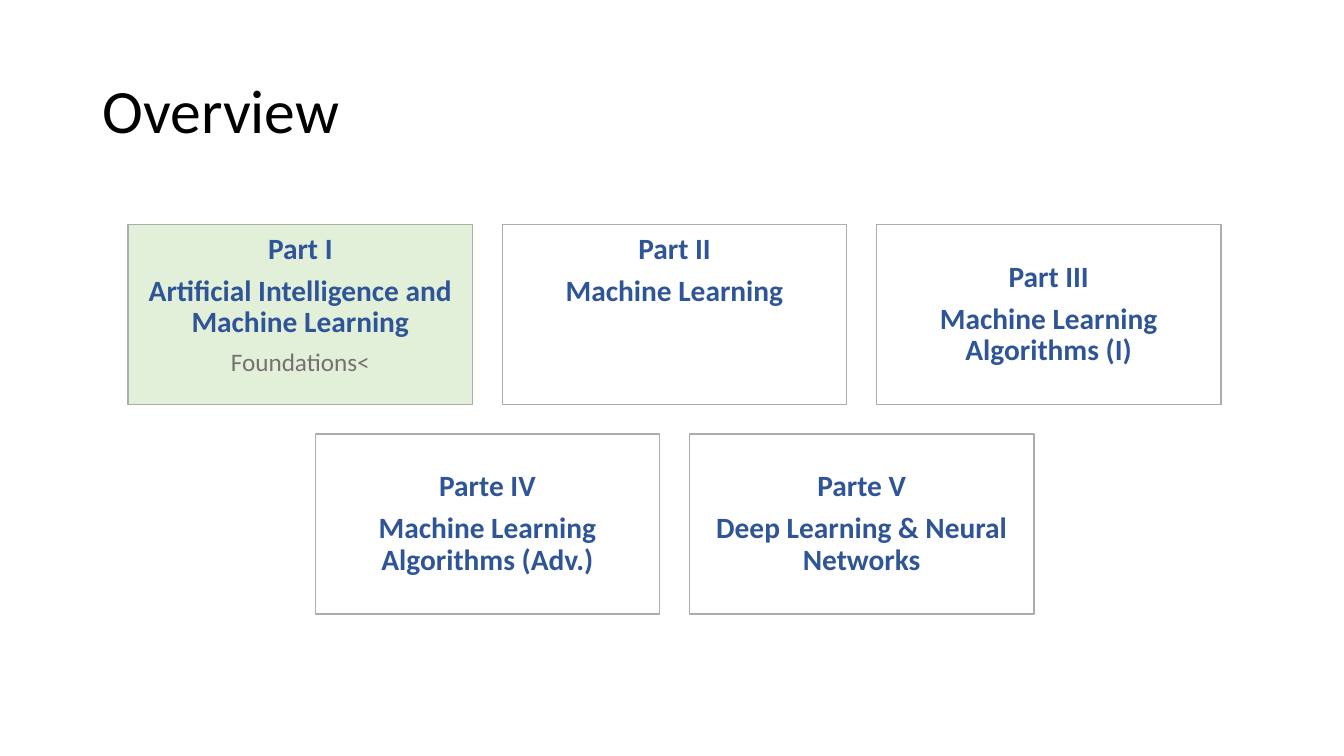
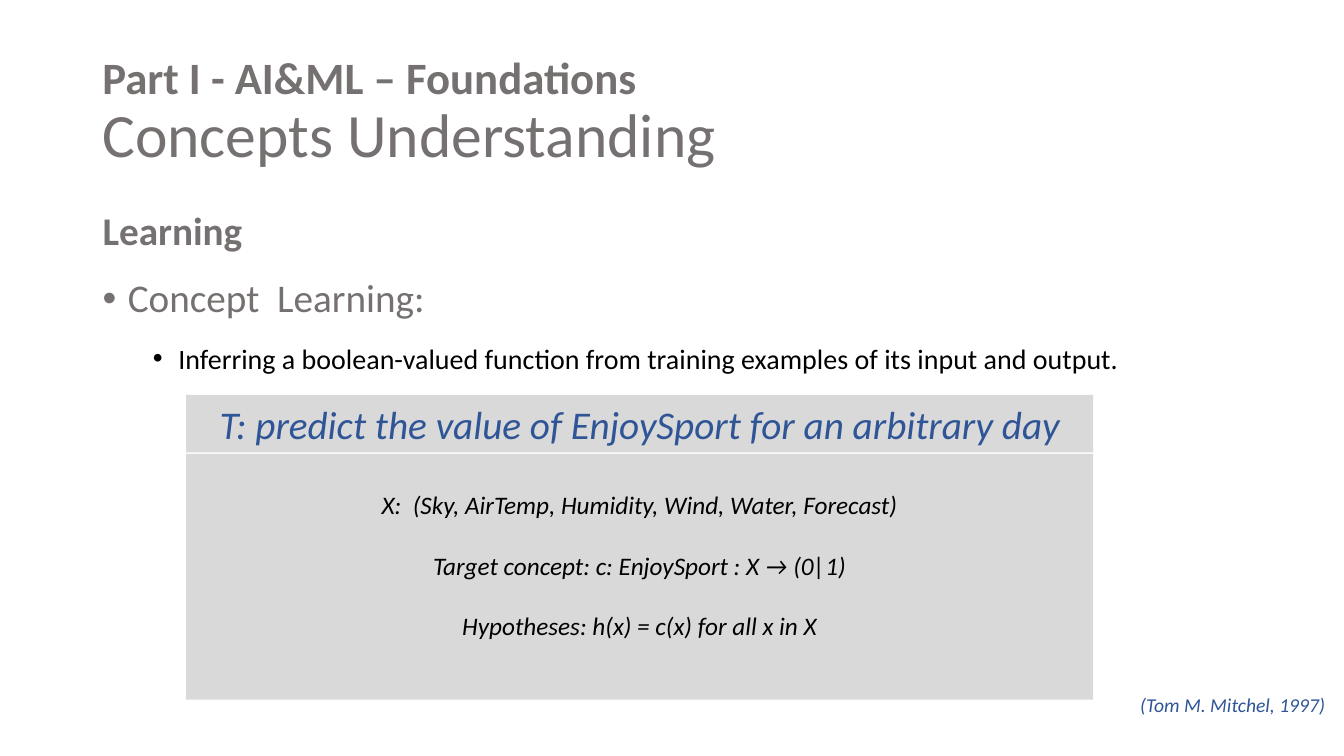
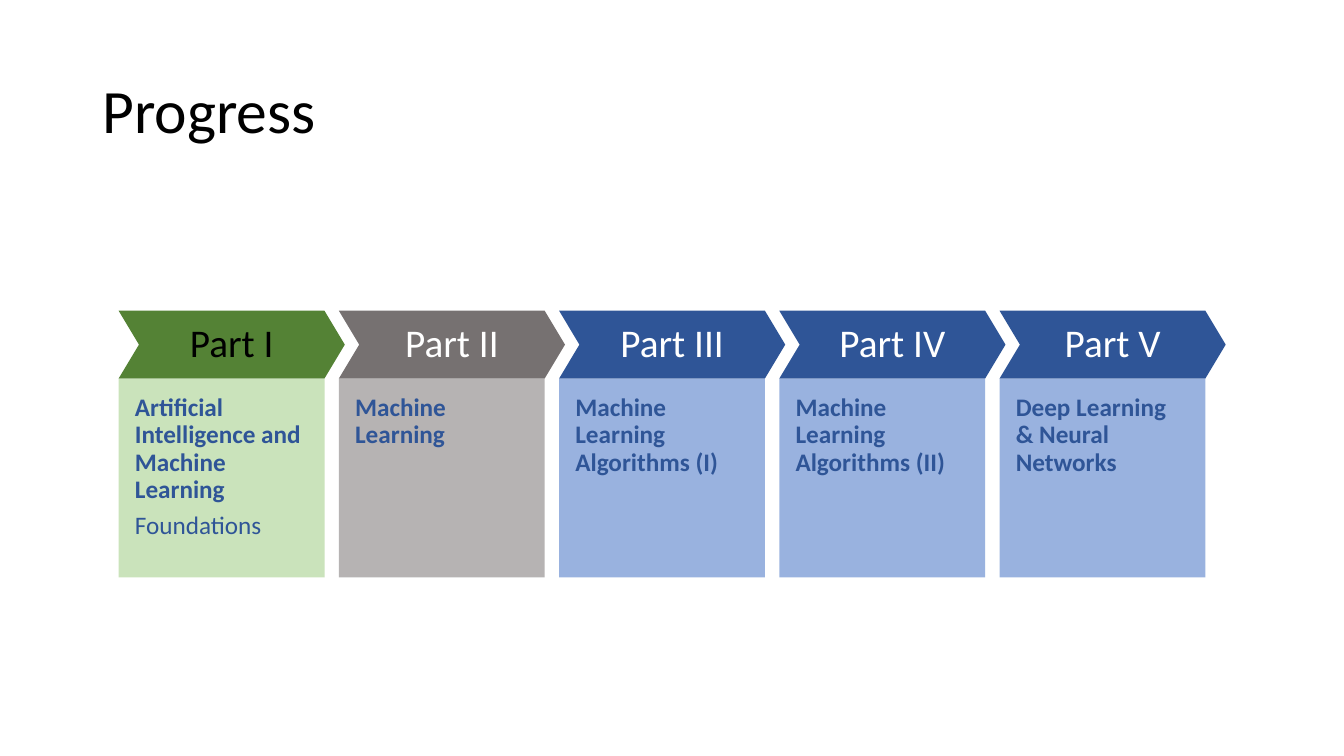
from dataclasses import dataclass
from typing import NamedTuple

from lxml import etree
from pptx import Presentation
from pptx.dml.color import RGBColor
from pptx.enum.shapes import MSO_SHAPE
from pptx.enum.text import MSO_ANCHOR, MSO_AUTO_SIZE, PP_ALIGN
from pptx.oxml.ns import qn
from pptx.shapes.autoshape import Shape
from pptx.slide import Slide
from pptx.text.text import TextFrame, _Paragraph
from pptx.util import Cm, Pt

RECT, CHEVRON = MSO_SHAPE.RECTANGLE, MSO_SHAPE.CHEVRON
TOP, MIDDLE = MSO_ANCHOR.TOP, MSO_ANCHOR.MIDDLE
LEFT, CENTER, RIGHT = PP_ALIGN.LEFT, PP_ALIGN.CENTER, PP_ALIGN.RIGHT
FIXED_SIZE = MSO_AUTO_SIZE.NONE
TITLE_ONLY, TITLE_AND_BODY = 5, 1


@dataclass(frozen=True)
class Theme:
    font: str = "Calibri"
    black: str = "000000"
    white: str = "FFFFFF"
    blue: str = "2F5597"
    light_blue: str = "8FAADC"
    green: str = "548235"
    light_green: str = "C5E0B4"
    pale_green: str = "E2F0D9"
    grey: str = "767171"
    mid_grey: str = "AFABAB"
    light_grey: str = "D9D9D9"
    title: float = 44
    subtitle: float = 32
    heading: float = 28
    card: float = 21
    point: float = 20
    text: float = 18
    citation: float = 14


THEME = Theme()


class Box(NamedTuple):
    """Left, top, width and height in centimetres."""
    left: float
    top: float
    width: float
    height: float


class Line(NamedTuple):
    text: str
    size: float
    color: str = THEME.blue
    bold: bool = False
    italic: bool = False


@dataclass(frozen=True)
class TextStyle:
    align: PP_ALIGN = CENTER
    anchor: MSO_ANCHOR = TOP
    spacing: float = 0.9
    after: float = 0.35  # share of the type size
    insets: tuple[float, float, float, float] = (0.25, 0.13, 0.25, 0.13)


class Card(NamedTuple):
    label: str
    topic: str
    anchor: MSO_ANCHOR = MIDDLE
    fill: str = THEME.white
    note: str = ""


class Stage(NamedTuple):
    label: str
    topic: str
    head_fill: str = THEME.blue
    body_fill: str = THEME.light_blue
    head_color: str = THEME.white
    note: str = ""


class Point(NamedTuple):
    line: Line
    before: float
    spacing: float
    level: int = 0
    indent: float = 0
    bullet: str = ""


TITLE_BOX = Box(2.33, 1.01, 29.21, 3.68)
BODY_BOX = Box(2.33, 5.08, 29.21, 12.09)
CARD_INSETS = (0.2, 0.23, 0.2, 0.23)
TITLE_STYLE = TextStyle(LEFT, MIDDLE, after=0)
HEAD_STYLE = TextStyle(anchor=MIDDLE, insets=(0.2, 0.2, 0.2, 0.2))
STAGE_STYLE = TextStyle(LEFT, insets=(0.41, 0.41, 0.41, 0.81))
TASK_STYLE = TextStyle(spacing=1, after=0)
DETAIL_STYLE = TextStyle(spacing=2, after=0)
CITATION_STYLE = TextStyle(RIGHT, spacing=1, after=0)

CARD_ROWS = [
    [Card("Part I", "Artificial Intelligence and Machine Learning", TOP,
          THEME.pale_green, "Foundations<"),
     Card("Part II", "Machine Learning", TOP),
     Card("Part III", "Machine Learning Algorithms (I)")],
    [Card("Parte IV", "Machine Learning Algorithms (Adv.)"),
     Card("Parte V", "Deep Learning & Neural Networks")],
]
STAGES = [
    Stage("Part I", "Artificial Intelligence and Machine Learning", THEME.green,
          THEME.light_green, THEME.black, "Foundations"),
    Stage("Part II", "Machine Learning", THEME.grey, THEME.mid_grey),
    Stage("Part III", "Machine Learning Algorithms (I)"),
    Stage("Part IV", "Machine Learning Algorithms (II)"),
    Stage("Part V", "Deep Learning & Neural Networks"),
]
POINTS = [
    Point(Line("Learning", THEME.heading, THEME.grey, bold=True), 18, 1),
    Point(Line("Concept  Learning:", THEME.heading, THEME.grey), 18, 0.9,
          indent=0.64, bullet="•"),
    Point(Line("Inferring a boolean-valued function from training examples of "
               "its input and output.", THEME.point, THEME.black), 12, 1.1,
          level=1, indent=1.91, bullet="•"),
]
HYPOTHESIS_SPACE = [
    "X:  (Sky, AirTemp, Humidity, Wind, Water, Forecast)",
    "Target concept: c: EnjoySport : X → (0|1)",
    "Hypotheses: h(x) = c(x) for all x in X",
]


def place(shape: Shape, box: Box) -> None:
    shape.left, shape.top, shape.width, shape.height = map(Cm, box)


def set_line(paragraph: _Paragraph, line: Line) -> None:
    paragraph.text = line.text
    font = paragraph.font
    font.name, font.size = THEME.font, Pt(line.size)
    font.bold, font.italic = line.bold, line.italic
    font.color.rgb = RGBColor.from_string(line.color)


def next_paragraph(frame: TextFrame, index: int) -> _Paragraph:
    return frame.add_paragraph() if index else frame.paragraphs[0]


def write(frame: TextFrame, lines: list[Line], style: TextStyle) -> None:
    frame.word_wrap = True
    frame.vertical_anchor = style.anchor
    (frame.margin_left, frame.margin_top,
     frame.margin_right, frame.margin_bottom) = map(Cm, style.insets)
    for index, line in enumerate(lines):
        paragraph = next_paragraph(frame, index)
        set_line(paragraph, line)
        paragraph.alignment = style.align
        paragraph.line_spacing = style.spacing
        paragraph.space_after = Pt(round(line.size * style.after, 2))


def add_panel(slide: Slide, box: Box, fill: str, lines: list[Line], style: TextStyle,
              kind: MSO_SHAPE = RECT, border: str = "") -> Shape:
    panel = slide.shapes.add_shape(kind, *map(Cm, box))
    panel.shadow.inherit = False
    panel.fill.solid()
    panel.fill.fore_color.rgb = RGBColor.from_string(fill)
    if border:
        panel.line.color.rgb = RGBColor.from_string(border)
        panel.line.width = Pt(1)
    else:
        panel.line.fill.background()
    write(panel.text_frame, lines, style)
    return panel


def set_opacity(shape: Shape, percent: int) -> None:
    color = shape.fill._xPr.find(qn("a:solidFill"))[0]
    etree.SubElement(color, qn("a:alpha"), val=str(percent * 1000))


def set_bullet(paragraph: _Paragraph, point: Point) -> None:
    properties = paragraph._p.get_or_add_pPr()
    properties.set("marL", str(Cm(point.indent)))
    properties.set("indent", str(Cm(-0.64 if point.bullet else 0)))
    if point.bullet:
        etree.SubElement(properties, qn("a:buChar"), char=point.bullet)
    else:
        etree.SubElement(properties, qn("a:buNone"))


def add_slide(deck: Presentation, layout: int, title: str, color: str = THEME.black,
              section: str = "") -> Slide:
    """Add a slide whose title may carry a smaller bold section line above it."""
    slide = deck.slides.add_slide(deck.slide_layouts[layout])
    place(slide.shapes.title, TITLE_BOX)
    frame = slide.shapes.title.text_frame
    frame.auto_size = FIXED_SIZE
    heading = Line(title, THEME.title, color)
    if section:
        heading = Line(f"{section}\v{title}", THEME.subtitle, color, bold=True)
    write(frame, [heading], TITLE_STYLE)
    if section:
        name = frame.paragraphs[0].runs[-1].font
        name.size, name.bold = Pt(THEME.title), False
    return slide


def build_overview(deck: Presentation) -> None:
    slide = add_slide(deck, TITLE_ONLY, "Overview")
    width, height, gap = 8.68, 4.53, 0.75
    first_left, first_top = 3.23, 5.66
    longest = max(map(len, CARD_ROWS))
    for row, cards in enumerate(CARD_ROWS):
        row_left = first_left + (longest - len(cards)) * (width + gap) / 2
        for column, card in enumerate(cards):
            box = Box(row_left + column * (width + gap),
                      first_top + row * (height + gap), width, height)
            lines = [Line(text, THEME.card, bold=True) for text in (card.label, card.topic)]
            if card.note:
                lines.append(Line(card.note, THEME.text, THEME.grey))
            style = TextStyle(anchor=card.anchor, insets=CARD_INSETS)
            add_panel(slide, box, card.fill, lines, style, border=THEME.mid_grey)


def build_concepts(deck: Presentation) -> None:
    slide = add_slide(deck, TITLE_AND_BODY, "Concepts Understanding", THEME.grey,
                      "Part I - AI&ML – Foundations")
    body = slide.placeholders[1]
    place(body, BODY_BOX)
    body.text_frame.auto_size = FIXED_SIZE
    for index, point in enumerate(POINTS):
        paragraph = next_paragraph(body.text_frame, index)
        set_bullet(paragraph, point)
        paragraph.level = point.level
        paragraph.line_spacing = point.spacing
        paragraph.space_before = Pt(point.before)
        set_line(paragraph, point.line)

    citation = slide.shapes.add_textbox(*map(Cm, Box(16.71, 17.32, 16.94, 0.86)))
    write(citation.text_frame,
          [Line("(Tom M. Mitchel, 1997)", THEME.citation, italic=True)], CITATION_STYLE)
    task = Line("T: predict the value of EnjoySport for an arbitrary day",
                THEME.heading, italic=True)
    add_panel(slide, Box(4.69, 9.95, 22.86, 1.45), THEME.light_grey, [task], TASK_STYLE)
    details = [Line(text, THEME.text, THEME.black, italic=True)
               for text in HYPOTHESIS_SPACE]
    add_panel(slide, Box(4.69, 11.44, 22.86, 6.19), THEME.light_grey, details,
              DETAIL_STYLE)


def build_progress(deck: Presentation) -> None:
    slide = add_slide(deck, TITLE_ONLY, "Progress")
    first_left, pitch, top = 2.99, 5.55, 7.83
    head_height, point_depth = 1.71, 0.3
    for index, stage in enumerate(STAGES):
        left = first_left + index * pitch
        head = add_panel(slide, Box(left, top, 5.7, head_height), stage.head_fill,
                         [Line(stage.label, THEME.heading, stage.head_color)],
                         HEAD_STYLE, CHEVRON)
        head.adjustments[0] = point_depth
        lines = [Line(stage.topic, THEME.text, bold=True)]
        if stage.note:
            lines.append(Line(stage.note, THEME.text))
        body = add_panel(slide, Box(left, top + head_height, 5.19, 5.01),
                         stage.body_fill, lines, STAGE_STYLE)
        set_opacity(body, 90)


def main() -> None:
    deck = Presentation()
    deck.slide_width, deck.slide_height = Cm(33.87), Cm(19.05)
    build_overview(deck)
    build_concepts(deck)
    build_progress(deck)
    deck.save("out.pptx")


if __name__ == "__main__":
    main()
